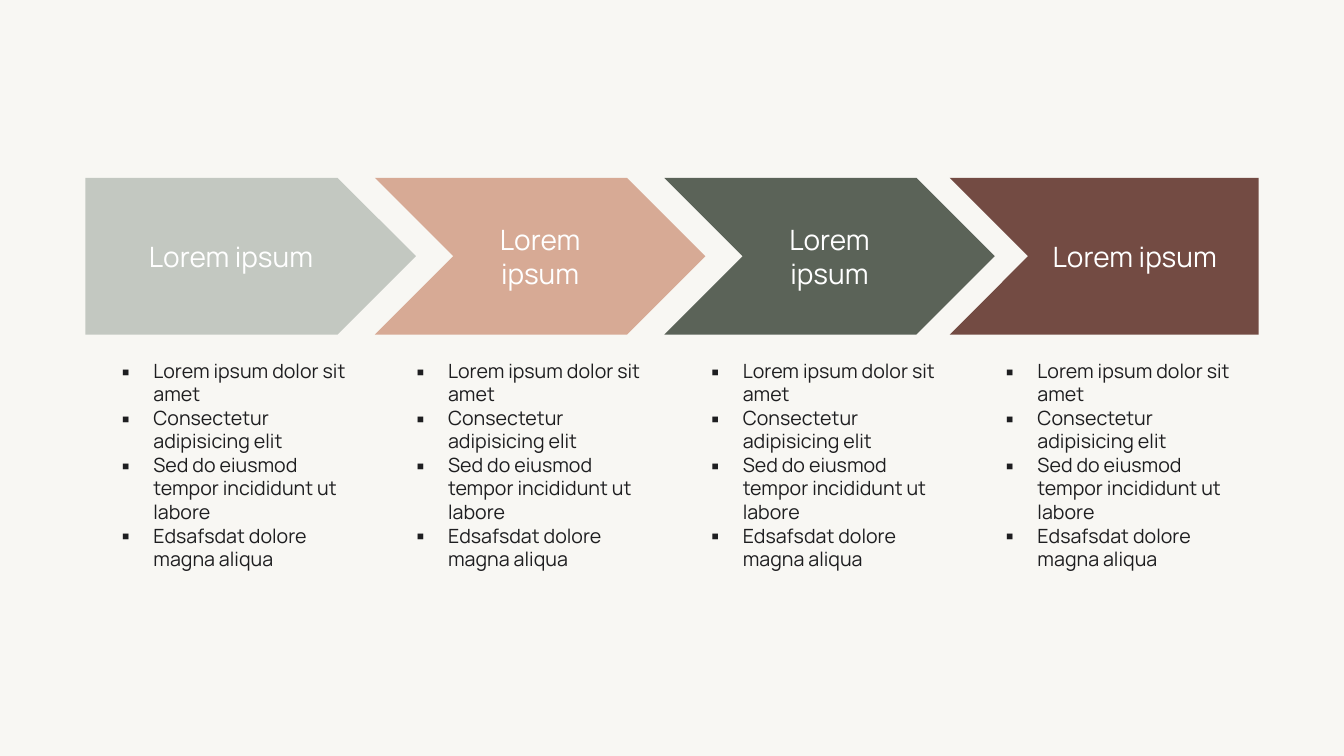
from lxml import etree
from pptx import Presentation
from pptx.dml.color import RGBColor
from pptx.enum import shapes as shp, text as txt
from pptx.oxml import ns
from pptx.util import Pt

# Content
SAGE = RGBColor(0xC3, 0xC8, 0xC1)
PEACH = RGBColor(0xD7, 0xAA, 0x95)
MOSS = RGBColor(0x5B, 0x63, 0x58)
BROWN = RGBColor(0x73, 0x4B, 0x43)
CREAM = RGBColor(0xF8, 0xF7, 0xF3)
WHITE = RGBColor(0xFF, 0xFF, 0xFF)
INK = RGBColor(0x1E, 0x1E, 0x20)
FONT = "Manrope"
KIND = shp.MSO_SHAPE
POINTS = [
    "Lorem ipsum dolor sit amet",
    "Consectetur adipisicing elit",
    "Sed do eiusmod tempor incididunt ut labore",
    "Edsafsdat dolore magna aliqua",
]
# Label, colour, preset outline (None: notched block), bullet points
STEPS = [
    ("Lorem ipsum", SAGE, KIND.PENTAGON, POINTS),
    ("Lorem ipsum", PEACH, KIND.CHEVRON, POINTS),
    ("Lorem ipsum", MOSS, KIND.CHEVRON, POINTS),
    ("Lorem ipsum", BROWN, None, POINTS),
]

# Layout, in points
LEFT, TOP, WIDE, HIGH, STEP = 61, 127, 236.1, 112, 206.75
END_X, END_W = 678.4, 220.6
LIST_X, LIST_Y, LIST_W, LIST_H, LIST_STEP = 80, 252.7, 187.2, 160, 210.5
INDENT = 22.5


def add_run(para, words, size, color):
    run = para.add_run()
    run.text = words
    run.font.name = FONT
    run.font.size = Pt(size)
    run.font.color.rgb = color


def add_end(slide):
    """Block with a notch on its left side."""
    right, base, half = END_X + END_W, TOP + HIGH, HIGH / 2
    edge = [(right, TOP), (right, base), (END_X, base), (END_X + half, TOP + half)]
    pen = slide.shapes.build_freeform(Pt(END_X), Pt(TOP))
    pen.add_line_segments([(Pt(x), Pt(y)) for x, y in edge], close=True)
    block = pen.convert_to_shape()
    block.text_frame.margin_left = Pt(51)
    return block


def add_arrow(slide, i, label, color, kind):
    if kind is None:
        arrow = add_end(slide)
    else:
        arrow = slide.shapes.add_shape(
            kind, Pt(LEFT + i * STEP), Pt(TOP), Pt(WIDE), Pt(HIGH))
    arrow.shadow.inherit = False
    arrow.fill.solid()
    arrow.fill.fore_color.rgb = color
    arrow.line.fill.background()
    frame = arrow.text_frame
    frame.word_wrap = True
    frame.vertical_anchor = txt.MSO_ANCHOR.MIDDLE
    para = frame.paragraphs[0]
    para.alignment = txt.PP_ALIGN.CENTER
    add_run(para, label, 20, WHITE)


def add_list(slide, i, points):
    box = slide.shapes.add_textbox(
        Pt(LIST_X + i * LIST_STEP), Pt(LIST_Y), Pt(LIST_W), Pt(LIST_H))
    frame = box.text_frame
    frame.word_wrap = True
    frame.auto_size = txt.MSO_AUTO_SIZE.SHAPE_TO_FIT_TEXT
    for n, point in enumerate(points):
        para = frame.add_paragraph() if n else frame.paragraphs[0]
        props = para._p.get_or_add_pPr()
        props.set("marL", str(Pt(INDENT)))
        props.set("indent", str(-Pt(INDENT)))
        etree.SubElement(props, ns.qn("a:buFont"), typeface=FONT)
        etree.SubElement(props, ns.qn("a:buChar"), char="▪")
        add_run(para, point, 14, INK)


def main():
    deck = Presentation()
    deck.slide_width, deck.slide_height = Pt(960), Pt(540)
    slide = deck.slides.add_slide(deck.slide_layouts[6])
    slide.background.fill.solid()
    slide.background.fill.fore_color.rgb = CREAM

    # Arrows with their lists below
    for i, (label, color, kind, points) in enumerate(STEPS):
        add_arrow(slide, i, label, color, kind)
        add_list(slide, i, points)
    deck.save("out.pptx")


if __name__ == "__main__":
    main()
